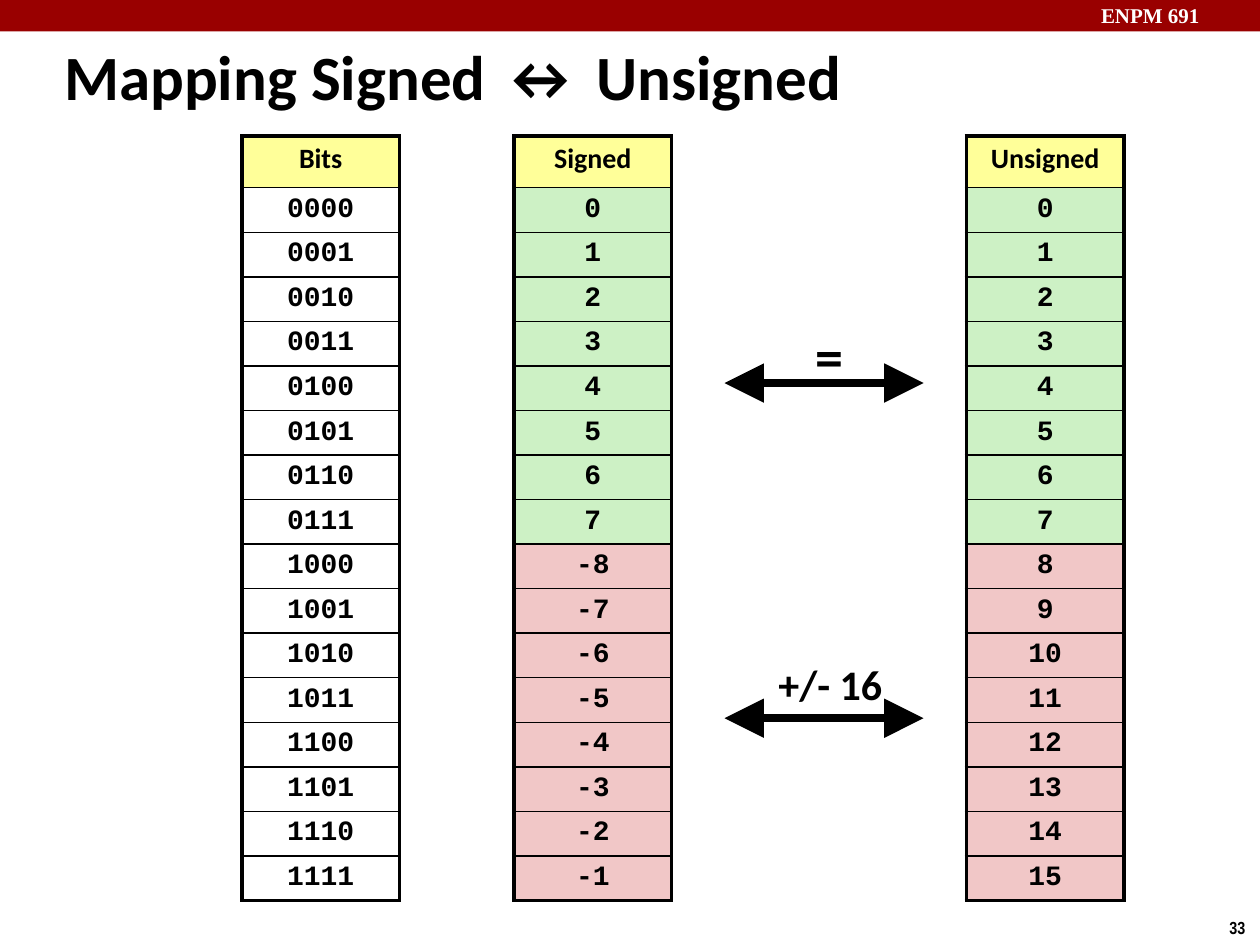
from lxml.etree import SubElement
from pptx import Presentation
from pptx.dml.color import RGBColor
from pptx.enum.shapes import MSO_CONNECTOR, MSO_SHAPE
from pptx.enum.text import MSO_ANCHOR as ANCHOR, PP_ALIGN as ALIGN
from pptx.oxml.ns import qn
from pptx.util import Inches, Pt

COLORS = {
    "black": "000000",
    "white": "FFFFFF",
    "banner": "990000",
    "header": "FFFF99",
    "same": "CDF1C5",
    "shifted": "F1C7C7",
}
BITS = 4
COUNT = 2 ** BITS
HALF = COUNT // 2
TABLE_TOP, TABLE_WIDTH, TABLE_HEIGHT = 1.08, 1.25, 6.07
HEADER_HEIGHT = 0.41
ROW_HEIGHT = (TABLE_HEIGHT - HEADER_HEIGHT) / COUNT


def rgb(name):
    return RGBColor.from_string(COLORS[name])


def write(tf, text, size=16, font="Calibri", color="black", align=ALIGN.LEFT, spacing=None):
    p = tf.paragraphs[0]
    p.alignment = align
    p.line_spacing = spacing
    r = p.add_run()
    r.text = text
    r.font.size = Pt(size)
    r.font.name = font
    r.font.bold = True
    r.font.color.rgb = rgb(color)


def add_text(s, text, left, top, width, height, inset=(0.1, 0.05), wrap=False,
             anchor=ANCHOR.TOP, **fmt):
    sp = s.shapes.add_textbox(Inches(left), Inches(top), Inches(width), Inches(height))
    tf = sp.text_frame
    tf.word_wrap = wrap
    tf.vertical_anchor = anchor
    tf.margin_left = tf.margin_right = Inches(inset[0])
    tf.margin_top = tf.margin_bottom = Inches(inset[1])
    write(tf, text, **fmt)


def add_banner(s):
    sp = s.shapes.add_shape(MSO_SHAPE.RECTANGLE, 0, 0, Inches(10), Inches(0.25))
    sp.shadow.inherit = False
    sp.fill.solid()
    sp.fill.fore_color.rgb = rgb("banner")
    sp.line.fill.background()


def set_borders(cell, **widths):
    tc_pr = cell._tc.get_or_add_tcPr()
    for i, side in enumerate("LRTB"):
        ln = tc_pr.makeelement(qn(f"a:ln{side}"), {"w": str(Pt(widths[side]))})
        fill = SubElement(ln, qn("a:solidFill"))
        SubElement(fill, qn("a:srgbClr"), val=COLORS["black"])
        tc_pr.insert(i, ln)


def fill_cell(cell, text, fill, font):
    cell.margin_left = cell.margin_right = Inches(0.05)
    cell.margin_top = cell.margin_bottom = Inches(0.05)
    if fill:
        cell.fill.solid()
        cell.fill.fore_color.rgb = rgb(fill)
    else:
        cell.fill.background()
    write(cell.text_frame, text, font=font, align=ALIGN.CENTER, spacing=0.95)


def add_column(s, left, title, values, fills):
    frame = s.shapes.add_table(COUNT + 1, 1, Inches(left), Inches(TABLE_TOP),
                               Inches(TABLE_WIDTH), Inches(TABLE_HEIGHT))
    table = frame.table
    table.first_row = table.horz_banding = False
    entries = [(title, "header", "Calibri")]
    entries += [(str(v), f, "Courier New") for v, f in zip(values, fills)]
    for i, entry in enumerate(entries):
        table.rows[i].height = Inches(ROW_HEIGHT if i else HEADER_HEIGHT)
        cell = table.cell(i, 0)
        fill_cell(cell, *entry)
        set_borders(cell, L=2.25, R=2.25, T=1 if i else 2.25, B=2.25 if i == COUNT else 1)


def add_double_arrow(s, y):
    line = s.shapes.add_connector(MSO_CONNECTOR.STRAIGHT, Inches(7.33), Inches(y),
                                  Inches(5.75), Inches(y))
    line.line.color.rgb = rgb("black")
    line.line.width = Pt(4.5)
    ln = line.line._get_or_add_ln()
    for end in ("headEnd", "tailEnd"):
        SubElement(ln, qn(f"a:{end}"), type="triangle", w="lg", len="lg")
    SubElement(line._element.spPr, qn("a:effectLst"))


def main():
    """Build the slide that maps signed to unsigned values."""
    prs = Presentation()
    prs.slide_width, prs.slide_height = Inches(10), Inches(7.5)
    s = prs.slides.add_slide(prs.slide_layouts[6])

    add_banner(s)
    add_text(s, "ENPM 691", 8.64, -0.03, 1.43, 0.3, wrap=True,
             size=12, font="Times New Roman", color="white")
    add_text(s, "33", 9.66, 7.23, 0.34, 0.27, size=10, font="Arial Narrow")
    add_text(s, "Mapping Signed ↔ Unsigned", 0.44, 0.27, 7.46, 0.61,
             inset=(0.07, 0.03), size=36)

    unsigned = range(COUNT)
    signed = [n if n < HALF else n - COUNT for n in unsigned]
    halves = ["same"] * HALF + ["shifted"] * HALF
    add_column(s, 4.08, "Signed", signed, halves)
    add_column(s, 7.67, "Unsigned", unsigned, halves)
    add_column(s, 1.92, "Bits", [f"{n:0{BITS}b}" for n in unsigned], [None] * COUNT)

    add_double_arrow(s, 3.04)
    add_text(s, "=", 6.42, 2.5, 0.32, 0.64, inset=(0.05, 0.05), size=32, align=ALIGN.CENTER)
    add_double_arrow(s, 5.7)
    add_text(s, "+/- 16", 6.08, 5.17, 1.1, 0.51, anchor=ANCHOR.MIDDLE, size=24)

    prs.save("out.pptx")


if __name__ == "__main__":
    main()
